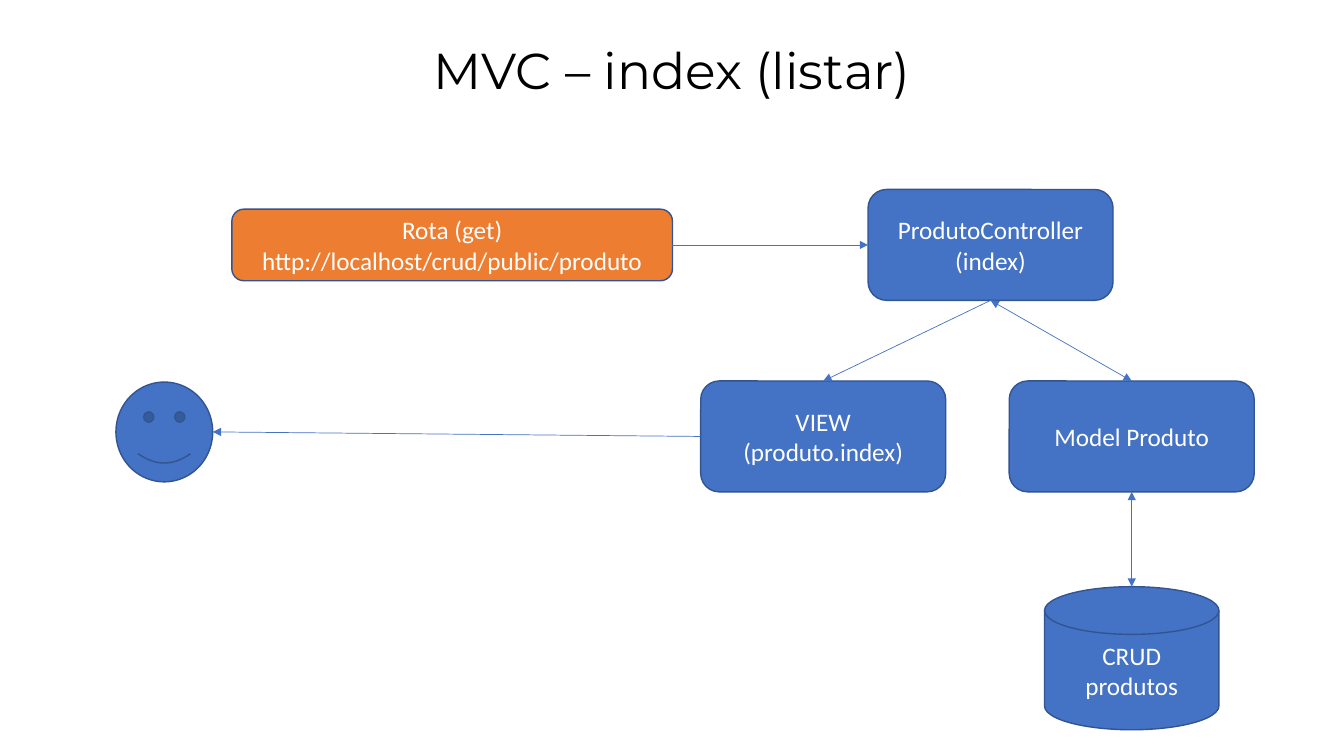
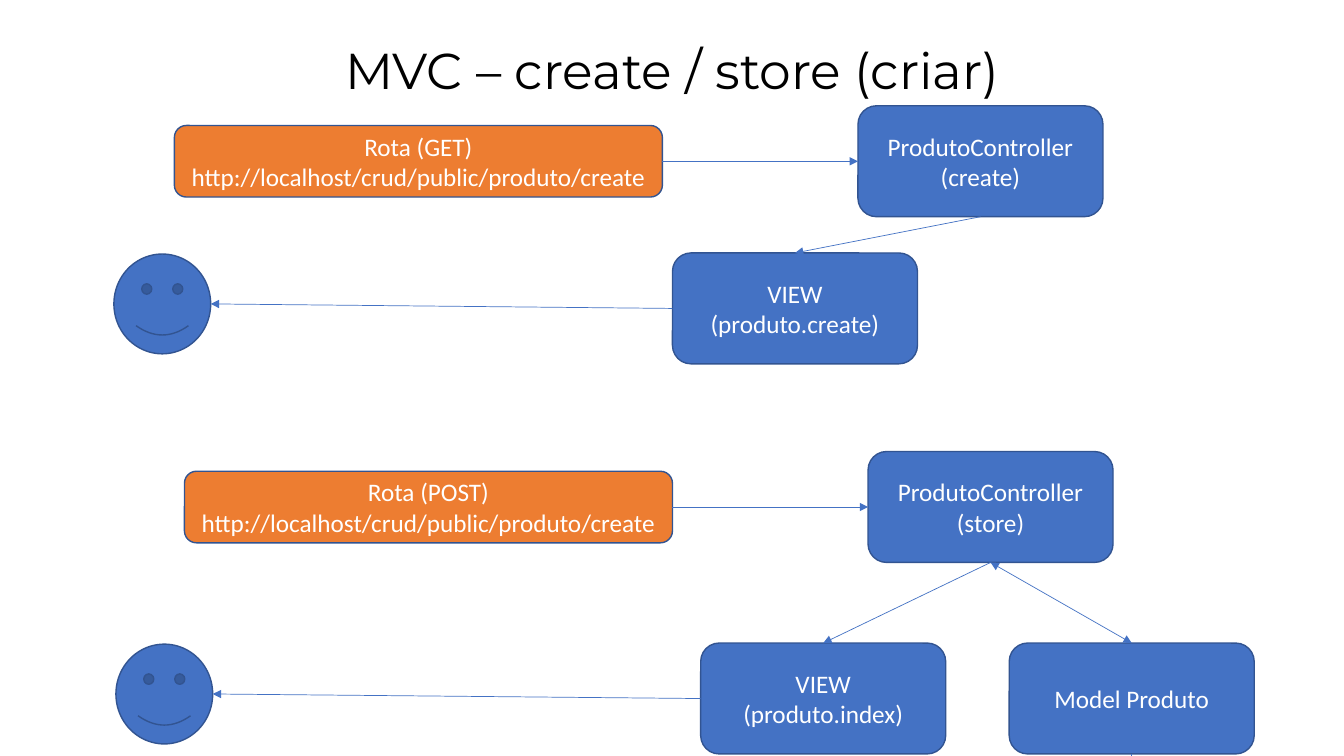
import pptx
import pptx.dml.color
import pptx.enum.shapes
import pptx.enum.text
import pptx.oxml.ns
import pptx.util
from lxml import etree

Inches = pptx.util.Inches
Pt = pptx.util.Pt
RGBColor = pptx.dml.color.RGBColor
SHAPE = pptx.enum.shapes.MSO_SHAPE
qn = pptx.oxml.ns.qn

BLUE = RGBColor(0x44, 0x72, 0xC4)
ORANGE = RGBColor(0xED, 0x7D, 0x31)
OUTLINE = RGBColor(0x32, 0x54, 0x91)
WHITE = RGBColor(0xFF, 0xFF, 0xFF)
BLACK = RGBColor(0x00, 0x00, 0x00)

PAGE_WIDTH, PAGE_HEIGHT = Inches(13.33), Inches(7.5)
BOX_WIDTH, BOX_HEIGHT = Inches(2.43), Inches(1.1)
ROUTE_HEIGHT = Inches(0.71)
FACE_WIDTH, FACE_HEIGHT = Inches(0.96), Inches(0.99)
DISK_WIDTH, DISK_HEIGHT = Inches(1.73), Inches(1.42)
ROUTE_GAP = Inches(1.94)
DISK_GAP = Inches(0.94)

# Sides of a box: connection site, then position as a share of width and height
SIDES = {
    "top": (0, 0.5, 0),
    "left": (1, 0, 0.5),
    "bottom": (2, 0.5, 1),
    "right": (3, 1, 0.5),
}


def write(frame, text, *, size=18, font="Calibri", color=WHITE):
    """Fill a text frame with centred paragraphs, one for each line."""
    frame.word_wrap = True
    for index, line in enumerate(text.split("\n")):
        para = frame.paragraphs[0] if index == 0 else frame.add_paragraph()
        para.alignment = pptx.enum.text.PP_ALIGN.CENTER
        span = para.add_run()
        span.text = line
        span.font.size = Pt(size)
        span.font.name = font
        span.font.color.rgb = color


def add_node(page, kind, left, top, width, height, text="", fill=BLUE):
    node = page.shapes.add_shape(kind, left, top, width, height)
    node.shadow.inherit = False
    node.fill.solid()
    node.fill.fore_color.rgb = fill
    node.line.color.rgb = OUTLINE
    node.line.width = Pt(1)
    if text:
        node.text_frame.vertical_anchor = pptx.enum.text.MSO_ANCHOR.MIDDLE
        write(node.text_frame, text)
    return node


def add_box(page, left, top, text):
    return add_node(page, SHAPE.ROUNDED_RECTANGLE, left, top, BOX_WIDTH, BOX_HEIGHT, text)


def side_point(node, side):
    _, across, down = SIDES[side]
    return node.left + int(node.width * across), node.top + int(node.height * down)


def add_line(page, start, end, heads=("tailEnd",)):
    line = page.shapes.add_connector(
        pptx.enum.shapes.MSO_CONNECTOR.STRAIGHT, *start, *end)
    line.line.color.rgb = BLUE
    line.line.width = Pt(0.5)
    for head in heads:
        etree.SubElement(line.line._get_or_add_ln(), qn("a:" + head), type="triangle")
    etree.SubElement(line._element.spPr, qn("a:effectLst"))
    return line


def link(page, source, source_side, target, target_side, both=False):
    """Draw an arrow between two nodes and glue it to the rounded boxes."""
    heads = ("headEnd", "tailEnd") if both else ("tailEnd",)
    line = add_line(page, side_point(source, source_side),
                    side_point(target, target_side), heads)
    if source.auto_shape_type == SHAPE.ROUNDED_RECTANGLE:
        line.begin_connect(source, SIDES[source_side][0])
    if target.auto_shape_type == SHAPE.ROUNDED_RECTANGLE:
        line.end_connect(target, SIDES[target_side][0])


def add_title(page, text):
    box = page.shapes.add_textbox(0, Inches(0.34), PAGE_WIDTH, Inches(0.71))
    write(box.text_frame, text, size=36, font="Montserrat", color=BLACK)


def add_request(page, left, top, *, route, route_width, action, view,
                view_shift=1.66, drop=1.9, face_left=1.15):
    """Route, controller, view and user; left and top place the controller."""
    left, top = Inches(left), Inches(top)
    row_top = top + Inches(drop)
    controller = add_box(page, left, top, f"ProdutoController\n({action})")

    # Route, centred on the controller
    width = Inches(route_width)
    route_box = add_node(page, SHAPE.ROUNDED_RECTANGLE, left - ROUTE_GAP - width,
                         top + (BOX_HEIGHT - ROUTE_HEIGHT) // 2,
                         width, ROUTE_HEIGHT, route, ORANGE)
    link(page, route_box, "right", controller, "left")

    # View returned to the user
    view_box = add_box(page, left - Inches(view_shift), row_top, f"VIEW\n({view})")
    face = add_node(page, SHAPE.SMILEY_FACE, Inches(face_left),
                    row_top + Inches(0.01), FACE_WIDTH, FACE_HEIGHT)
    link(page, controller, "bottom", view_box, "top")
    link(page, view_box, "left", face, "right")
    return controller


def add_model(page, controller):
    """Model below the controller, with its database where the page has room."""
    model = add_box(page, controller.left + Inches(1.4),
                    controller.top + Inches(1.9), "Model Produto")
    link(page, controller, "bottom", model, "top", both=True)
    center, bottom = side_point(model, "bottom")
    disk_top = bottom + DISK_GAP
    if disk_top + DISK_HEIGHT <= PAGE_HEIGHT:
        disk = add_node(page, SHAPE.FLOWCHART_MAGNETIC_DISK, center - DISK_WIDTH // 2,
                        disk_top, DISK_WIDTH, DISK_HEIGHT, "CRUD\nprodutos")
        link(page, model, "bottom", disk, "top", both=True)
    else:
        add_line(page, (center, bottom), (center, PAGE_HEIGHT), heads=())


def add_page(deck, title):
    page = deck.slides.add_slide(deck.slide_layouts[6])
    add_title(page, title)
    return page


def build_index(deck):
    page = add_page(deck, "MVC – index (listar)")
    controller = add_request(
        page, 8.61, 1.88, route="Rota (get)\nhttp://localhost/crud/public/produto",
        route_width=4.37, action="index", view="produto.index")
    add_model(page, controller)


def build_create(deck):
    page = add_page(deck, "MVC – create / store (criar)")
    address = "http://localhost/crud/public/produto/create"
    # Form request
    add_request(page, 8.51, 1.05, route=f"Rota (GET)\n{address}", route_width=4.84,
                action="create", view="produto.create",
                view_shift=1.84, drop=1.46, face_left=1.13)
    # Save request
    controller = add_request(page, 8.61, 4.48, route=f"Rota (POST)\n{address}",
                             route_width=4.84, action="store", view="produto.index")
    add_model(page, controller)


def main():
    deck = pptx.Presentation()
    deck.slide_width, deck.slide_height = PAGE_WIDTH, PAGE_HEIGHT
    build_index(deck)
    build_create(deck)
    deck.save("out.pptx")


if __name__ == "__main__":
    main()
